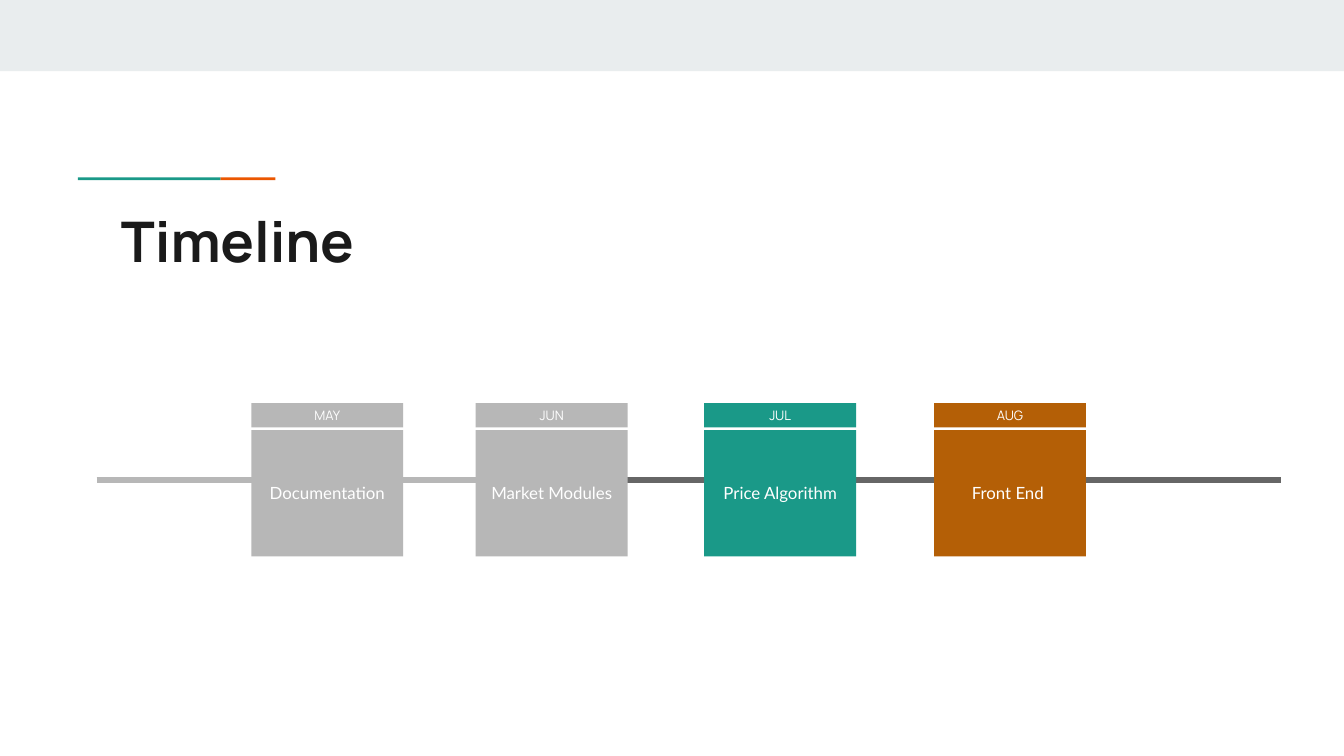
from dataclasses import dataclass

from lxml.etree import SubElement
from pptx import Presentation
from pptx.dml.color import RGBColor
from pptx.enum.shapes import MSO_CONNECTOR as Connector, MSO_SHAPE as Shape
from pptx.enum.text import MSO_ANCHOR as Anchor, MSO_AUTO_SIZE as AutoSize, PP_ALIGN as Align
from pptx.oxml.ns import qn
from pptx.util import Inches, Pt

TEAL, ORANGE, BROWN = "1A9988", "EB5600", "B45F06"
SILVER, GRAY, MIST = "B7B7B7", "666666", "E9EDEE"
INK, WHITE = "1A1A1A", "FFFFFF"
PAGE_WIDTH = 10
PAGE_HEIGHT = PAGE_WIDTH * 9 / 16
CARD_WIDTH, LINE_Y = 1.13, 3.57
MONTH_TOP, MONTH_HEIGHT = 3, 0.18
TASK_TOP, TASK_HEIGHT = 3.2, 0.94


@dataclass
class Milestone:
    left: float
    month: str
    task: str
    color: str


@dataclass
class Track:
    start: float
    end: float
    color: str


MILESTONES = [
    Milestone(6.95, "AUG", "Front End ", BROWN),
    Milestone(5.24, "JUL", "Price Algorithm", TEAL),
    Milestone(3.54, "JUN", "Market Modules", SILVER),
    Milestone(1.87, "MAY", "Documentation", SILVER),
]
TRACKS = [Track(4.45, 9.53, GRAY), Track(0.72, 4.24, SILVER)]


def rgb(color: str) -> RGBColor:
    return RGBColor.from_string(color)


def apply_format(target, values: dict) -> None:
    for name, value in values.items():
        setattr(target, name, value)


def write_text(shape, text: str, font: str, size: float, color: str,
               bold: bool = False, align=Align.CENTER, anchor=Anchor.MIDDLE) -> None:
    inset = Inches(0.1)
    frame = shape.text_frame
    apply_format(frame, {
        "word_wrap": True, "auto_size": AutoSize.NONE, "vertical_anchor": anchor,
        "margin_left": inset, "margin_right": inset,
        "margin_top": inset, "margin_bottom": inset,
    })
    para = frame.paragraphs[0]
    apply_format(para, {"alignment": align, "space_before": Pt(0)})
    span = para.add_run()
    span.text = text
    apply_format(span.font, {"name": font, "size": Pt(size), "bold": bold})
    span.font.color.rgb = rgb(color)


def add_block(page, left: float, top: float, width: float, height: float, color: str):
    block = page.shapes.add_shape(
        Shape.RECTANGLE, Inches(left), Inches(top), Inches(width), Inches(height))
    block.shadow.inherit = False
    block.fill.solid()
    block.fill.fore_color.rgb = rgb(color)
    block.line.fill.background()
    return block


def add_track(page, track: Track) -> None:
    line = page.shapes.add_connector(
        Connector.STRAIGHT, Inches(track.start), Inches(LINE_Y),
        Inches(track.end), Inches(LINE_Y))
    line.line.color.rgb = rgb(track.color)
    line.line.width = Pt(3)
    SubElement(line._element.spPr, qn("a:effectLst"))


def add_milestone(page, item: Milestone) -> None:
    task = add_block(page, item.left, TASK_TOP, CARD_WIDTH, TASK_HEIGHT, item.color)
    write_text(task, item.task, "Lato", 9, WHITE)
    month = add_block(page, item.left, MONTH_TOP, CARD_WIDTH, MONTH_HEIGHT, item.color)
    write_text(month, item.month, "Manrope", 7, WHITE)


def add_title(page, text: str) -> None:
    title = page.shapes.title
    apply_format(title, {"left": Inches(0.8), "top": Inches(1.44),
                         "width": Inches(8.41), "height": Inches(0.59)})
    write_text(title, text, "Manrope", 30, INK, True, Align.LEFT, Anchor.TOP)


def main() -> None:
    deck = Presentation()
    apply_format(deck, {"slide_width": Inches(PAGE_WIDTH),
                        "slide_height": Inches(PAGE_HEIGHT)})
    page = deck.slides.add_slide(deck.slide_layouts[5])
    page.background.fill.solid()
    page.background.fill.fore_color.rgb = rgb(WHITE)
    add_block(page, 0, 0, PAGE_WIDTH, 0.53, MIST)
    add_block(page, 1.64, 1.32, 0.41, 0.02, ORANGE)
    add_block(page, 0.58, 1.32, 1.06, 0.02, TEAL)
    for track in TRACKS:
        add_track(page, track)
    add_title(page, "Timeline")
    for item in MILESTONES:
        add_milestone(page, item)
    deck.save("out.pptx")


if __name__ == "__main__":
    main()
